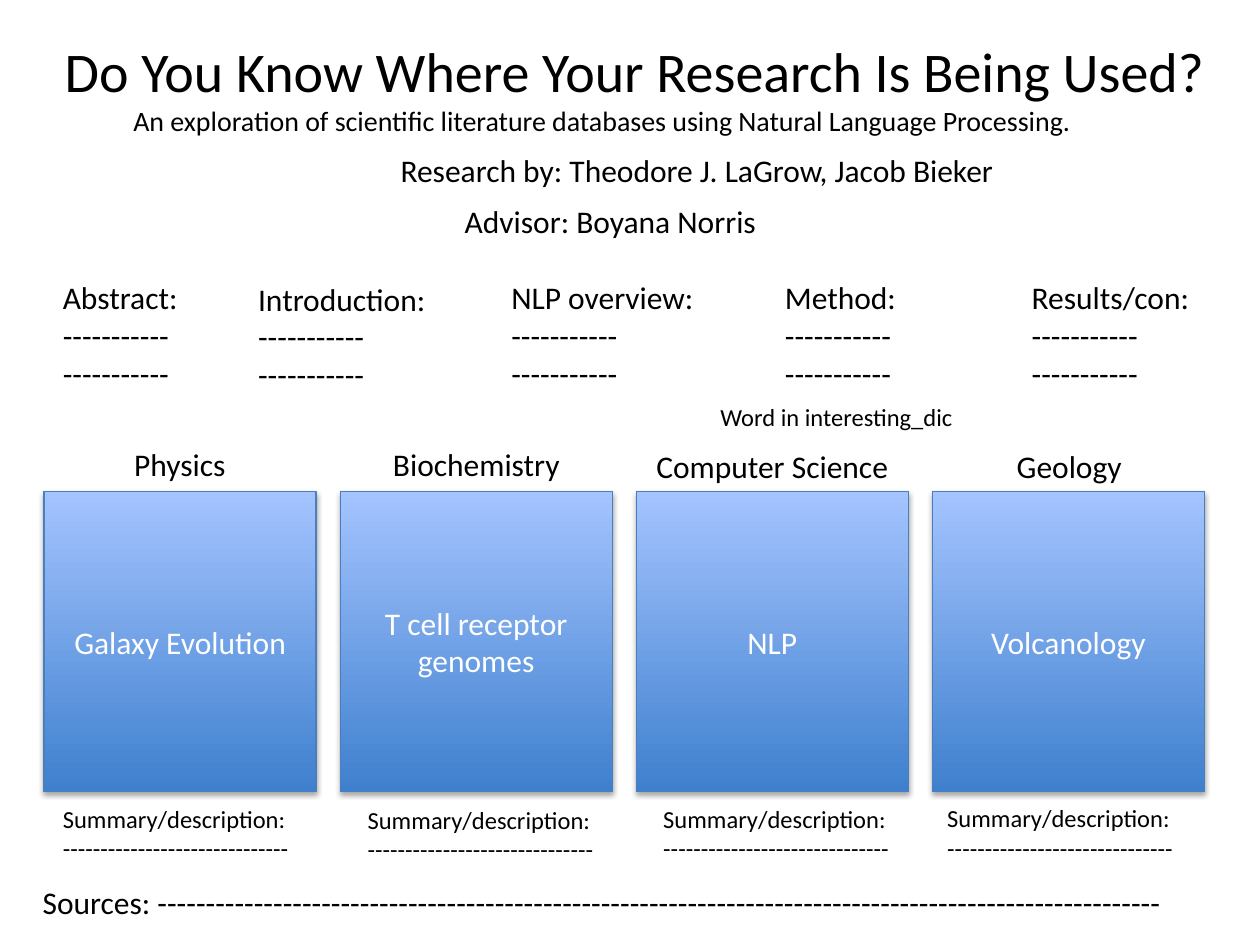
from dataclasses import dataclass
from lxml.etree import SubElement
from pptx import Presentation
from pptx.dml.color import RGBColor
from pptx.enum.shapes import MSO_SHAPE
from pptx.enum.text import MSO_ANCHOR, MSO_AUTO_SIZE, PP_ALIGN
from pptx.oxml.ns import qn
from pptx.util import Pt


@dataclass(frozen=True)
class Theme:
    """Colours, font and type sizes of the poster."""
    font: str = "Calibri"
    ink: str = "000000"
    panel_ink: str = "FFFFFF"
    panel_bottom: str = "3F80CE"
    panel_top: str = "A4C4FF"
    panel_line: str = "4B7EBC"
    title: int = 32
    subtitle: int = 16
    body: int = 18
    small: int = 14


THEME = Theme()


def write(frame, text, size, color=THEME.ink, align=PP_ALIGN.LEFT):
    """Fill a text frame and format all of its runs."""
    frame.text = text
    for paragraph in frame.paragraphs:
        paragraph.alignment = align
        for run in paragraph.runs:
            run.font.name = THEME.font
            run.font.size = Pt(size)
            run.font.color.rgb = RGBColor.from_string(color)


def add_label(slide, box, text, size=THEME.body):
    """Add a line-fitted text box at the given left, top, width and height."""
    frame = slide.shapes.add_textbox(*map(Pt, box)).text_frame
    frame.word_wrap = False
    frame.auto_size = MSO_AUTO_SIZE.SHAPE_TO_FIT_TEXT
    write(frame, text, size)


def add_header(slide, box):
    """Place the title, subtitle and credits relative to the header box."""
    left, top, width, height = box
    title = slide.shapes.title
    title.left, title.top, title.width, title.height = map(Pt, box)
    title.text_frame.auto_size = MSO_AUTO_SIZE.NONE
    title.text_frame.vertical_anchor = MSO_ANCHOR.MIDDLE
    write(title.text_frame, "Do You Know Where Your Research Is Being Used? ",
          THEME.title, align=PP_ALIGN.CENTER)
    add_label(slide, (left + 43.9, top + 48.9, 560.2, 48.2),
              "An exploration of scientific literature databases using "
              "Natural Language Processing.", THEME.subtitle)
    add_label(slide, (left + 196.6, top + 76.3, 360.7, 29),
              "Research by: Theodore J. LaGrow, Jacob Bieker")
    add_label(slide, (left + 233.3, top + 105.1, 182.9, 29), "Advisor: Boyana Norris")


def add_sections(slide, box):
    """Place the outline headings with their dashed lines across the box."""
    left, top, _, height = box
    dashes = "-" * 11
    sections = [("Abstract:", 0, 0, 81.4), ("Introduction:", 111.6, 0.7, 111.6),
                ("NLP overview:", 256.3, 0, 119.5), ("Method:", 412.6, 0, 78.5),
                ("Results/con:", 553.7, 0, 105.8)]
    for heading, shift, drop, width in sections:
        add_label(slide, (left + shift, top + drop, width, height),
                  "\n".join((heading, dashes, dashes)))


def add_panel(slide, box, topic):
    """Add a gradient panel with a soft shadow and a centred topic."""
    panel = slide.shapes.add_shape(MSO_SHAPE.RECTANGLE, *map(Pt, box))
    panel.fill.gradient()
    panel.fill.gradient_angle = 90
    for stop, position, color in zip(panel.fill.gradient_stops, (0, 1),
                                     (THEME.panel_bottom, THEME.panel_top)):
        stop.position = position
        stop.color.rgb = RGBColor.from_string(color)
    panel.line.color.rgb = RGBColor.from_string(THEME.panel_line)
    panel.line.width = Pt(0.75)
    panel.shadow.inherit = False
    effects = panel.element.spPr.find(qn("a:effectLst"))
    shadow = SubElement(effects, qn("a:outerShdw"), blurRad=str(Pt(3.1)),
                        dist=str(Pt(1.8)), dir="5400000", rotWithShape="0")
    shade = SubElement(shadow, qn("a:srgbClr"), val=THEME.ink)
    SubElement(shade, qn("a:alpha"), val="35000")
    panel.text_frame.word_wrap = True
    panel.text_frame.vertical_anchor = MSO_ANCHOR.MIDDLE
    write(panel.text_frame, topic, THEME.body, THEME.panel_ink, PP_ALIGN.CENTER)


def add_fields(slide, box):
    """Place one heading, panel and summary for each field across the box."""
    left, top, width, height = box
    panel_width = 155.5
    pitch = (width - panel_width) / 3
    fields = [("Physics", 68.4, 30.2, "Galaxy Evolution", 3.6, 175),
              ("Biochemistry", 110.9, 30.2, "T cell receptor genomes", 8.6, 175.7),
              ("Computer Science", 148.3, 28.8, "NLP", 8.3, 175),
              ("Geology", 74.9, 28.8, "Volcanology", 1.4, 174.8)]
    for index, (field, label_width, rise, topic, indent, drop) in enumerate(fields):
        x = left + index * pitch
        add_label(slide, (x + (panel_width - label_width) / 2 + 0.8, top - rise,
                          label_width, 29), field)
        add_panel(slide, (x, top, panel_width, height), topic)
        add_label(slide, (x + indent, top + drop, 144.7, 41),
                  "Summary/description:\n" + "-" * 30, THEME.small)


def build():
    """Build and save the poster outline."""
    deck = Presentation()
    deck.slide_width, deck.slide_height = Pt(720), Pt(540)
    slide = deck.slides.add_slide(deck.slide_layouts[5])
    add_header(slide, (25.2, 6.5, 682.6, 67.7))
    add_sections(slide, (28.8, 155.5, 659.5, 72.7))
    add_label(slide, (404.6, 226.1, 149.8, 24.5), "Word in interesting_dic", THEME.small)
    add_fields(slide, (25.2, 280.8, 663.1, 171.4))
    add_label(slide, (17.3, 501.1, 660.2, 29), "Sources: " + "-" * 104)
    deck.save("out.pptx")


build()
